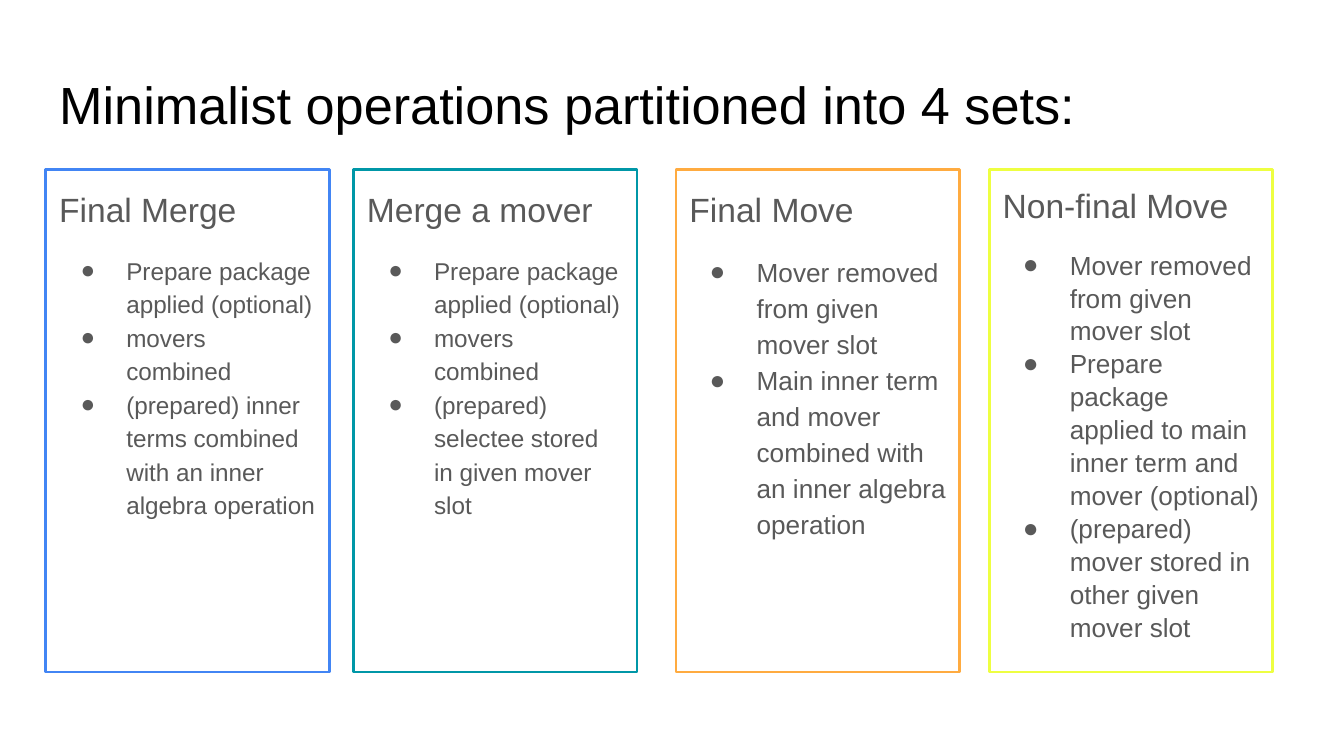
from lxml.etree import SubElement
from pptx import Presentation
from pptx.dml.color import RGBColor
from pptx.enum.text import MSO_ANCHOR, MSO_AUTO_SIZE, PP_ALIGN
from pptx.oxml.ns import qn
from pptx.util import Inches, Pt

COLORS = {
    "title": "000000",
    "text": "595959",
    "blue": "4285F4",
    "teal": "0097A7",
    "orange": "FFAB40",
    "yellow": "EEFF41",
}
FRAME = {
    "word_wrap": True,
    "auto_size": MSO_AUTO_SIZE.NONE,
    "vertical_anchor": MSO_ANCHOR.TOP,
    "margin_left": Inches(0.1),
    "margin_right": Inches(0.1),
    "margin_top": Inches(0.1),
    "margin_bottom": Inches(0.1),
}
# left, colour, heading, line spacing, point size, hanging indent, points
CARDS = [
    (0.34, "blue", "Final Merge", 1.15, 13, 0.34, [
        "Prepare package applied (optional)",
        "movers combined",
        "(prepared) inner terms combined with an inner algebra operation",
    ]),
    (2.63, "teal", "Merge a mover", 1.15, 13, 0.34, [
        "Prepare package applied (optional)",
        "movers combined",
        "(prepared) selectee stored in given mover slot",
    ]),
    (5.03, "orange", "Final Move", 1.15, 14, 0.35, [
        "Mover removed from given mover slot",
        "Main inner term and mover combined with an inner algebra operation",
    ]),
    (7.36, "yellow", "Non-final Move", 1.05, 14, 0.35, [
        "Mover removed from given mover slot",
        "Prepare package applied to main inner term and mover (optional)",
        "(prepared) mover stored in other given mover slot",
    ]),
]


def rgb(name):
    return RGBColor.from_string(COLORS[name])


def apply(item, values):
    for name, value in values.items():
        setattr(item, name, value)


def place(holder, left, top, width, height):
    sides = {"left": left, "top": top, "width": width, "height": height}
    apply(holder, {name: Inches(size) for name, size in sides.items()})
    apply(holder.text_frame, FRAME)


def write(para, text, size, color, spacing, before=0):
    apply(para, {
        "alignment": PP_ALIGN.LEFT,
        "line_spacing": spacing,
        "space_before": Pt(before),
        "space_after": Pt(0),
    })
    run = para.add_run()
    run.text = text
    apply(run.font, {"name": "Arial", "size": Pt(size), "bold": False})
    run.font.color.rgb = rgb(color)


def indent(para, left=0, hang=0):
    """Set the left margin and, where the line hangs, a round bullet."""
    props = para._p.get_or_add_pPr()
    props.set("marL", str(Inches(left)))
    props.set("indent", str(-Inches(hang)))
    if not hang:
        SubElement(props, qn("a:buNone"))
        return
    tint = SubElement(props, qn("a:buClr"))
    SubElement(tint, qn("a:srgbClr"), val=COLORS["text"])
    SubElement(props, qn("a:buFont"), typeface="Arial")
    SubElement(props, qn("a:buChar"), char="●")


def fill_card(holder, left, color, heading, spacing, size, hang, points):
    place(holder, left, 1.26, 2.11, 3.74)
    holder.line.color.rgb = rgb(color)
    holder.line.width = Pt(1.5)
    frame = holder.text_frame
    head = frame.paragraphs[0]
    write(head, heading, 18, "text", spacing)
    indent(head)
    for row, point in enumerate(points):
        para = frame.add_paragraph()
        write(para, point, size, "text", spacing, before=0 if row else 12)
        indent(para, 0.5, hang)


def main():
    deck = Presentation()
    deck.slide_width = Inches(10)
    deck.slide_height = Inches(10 * 9 / 16)
    # The Comparison layout has a title and four text holders.
    slide = deck.slides.add_slide(deck.slide_layouts.get_by_name("Comparison"))
    title, *bodies = slide.placeholders
    place(title, 0.34, 0.49, 9.32, 0.63)
    write(title.text_frame.paragraphs[0],
          "Minimalist operations partitioned into 4 sets:", 28, "title", 0.9)
    for holder, card in zip(bodies, CARDS):
        fill_card(holder, *card)
    deck.save("out.pptx")


if __name__ == "__main__":
    main()
